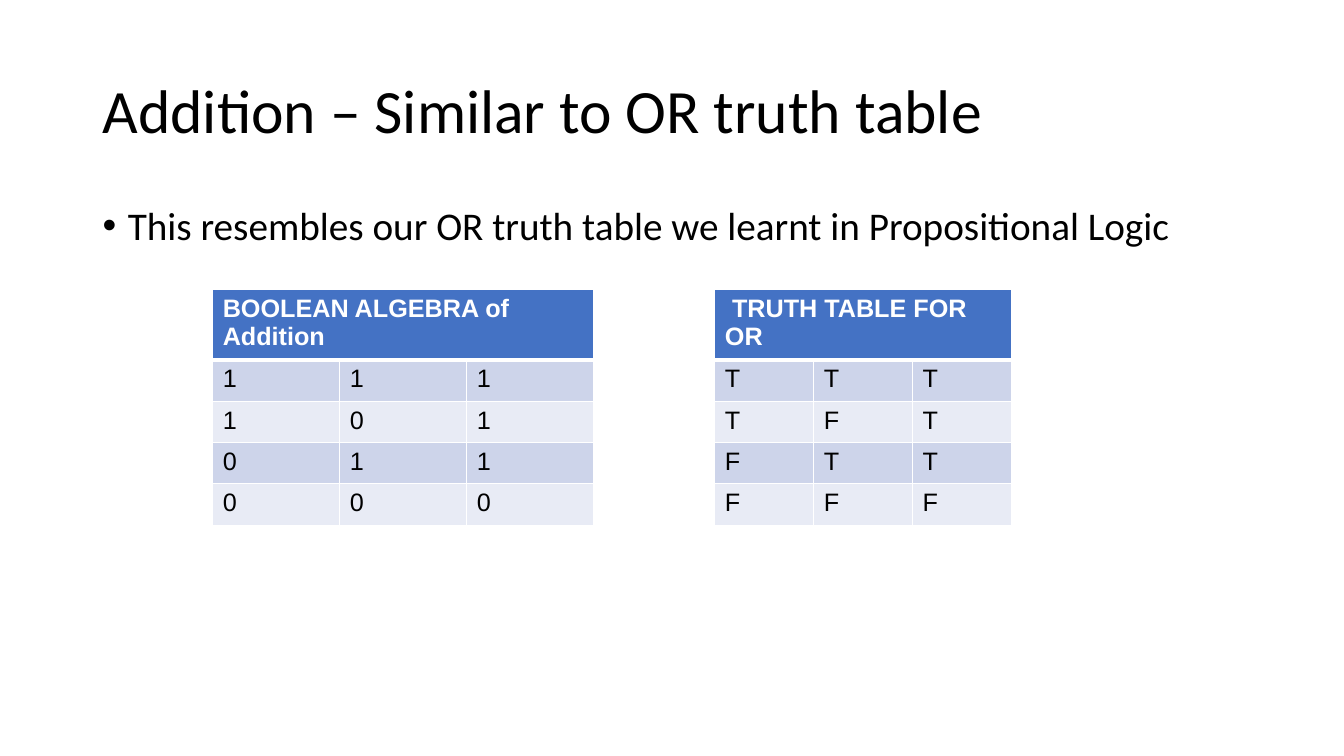
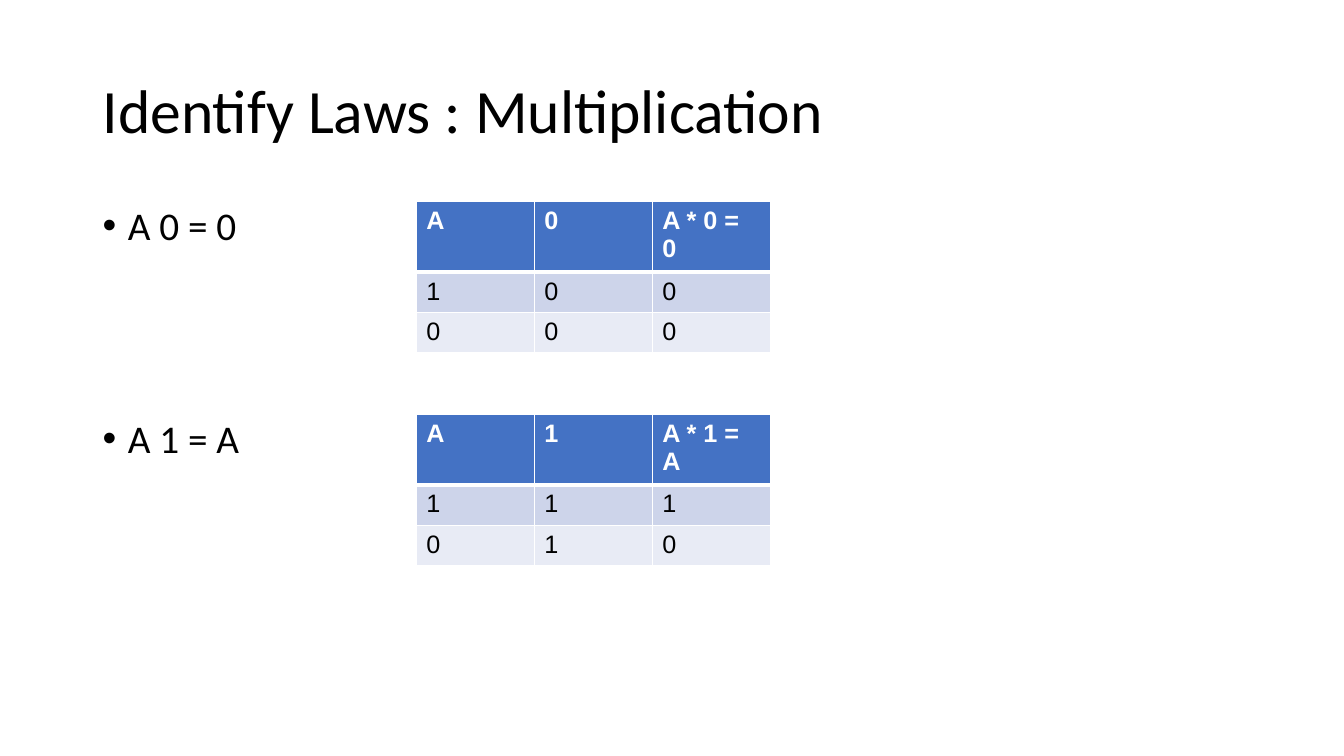
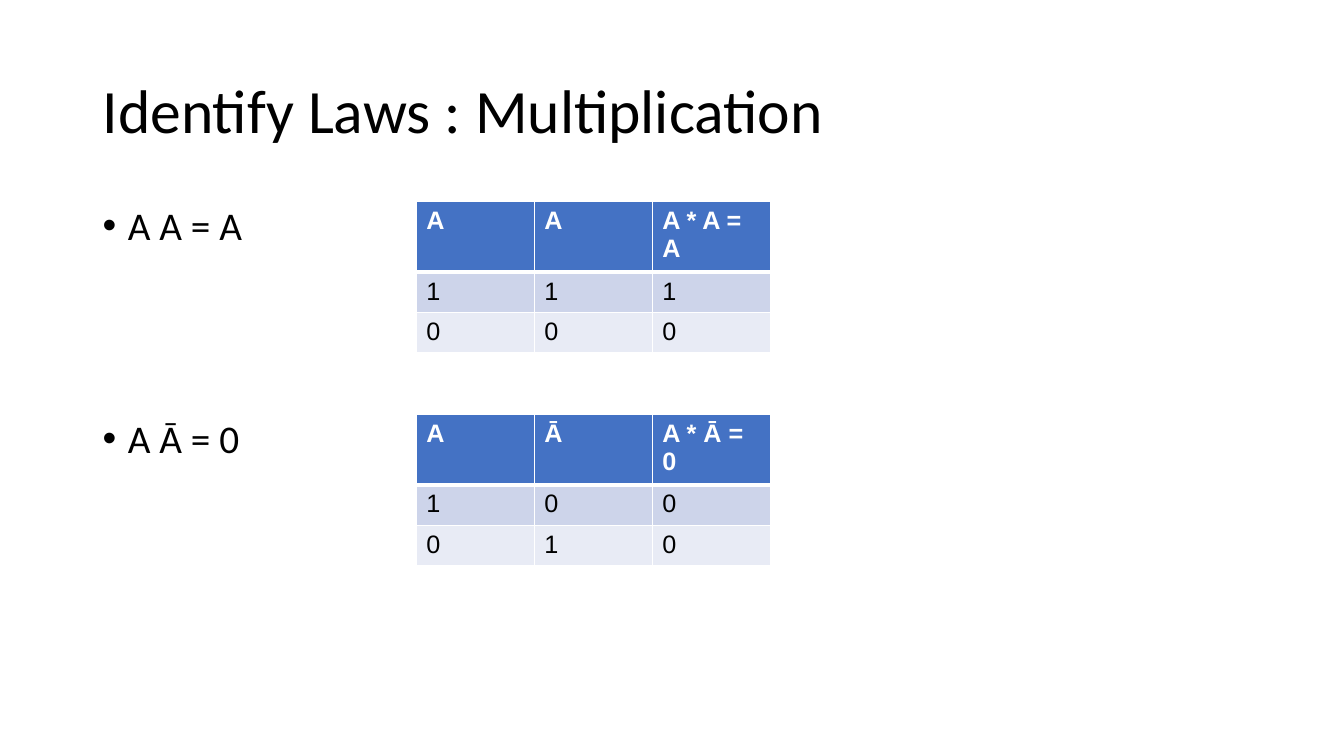
from lxml.etree import SubElement
from pptx import Presentation
from pptx.dml.color import RGBColor
from pptx.enum.text import MSO_ANCHOR as Anchor
from pptx.oxml.ns import qn
from pptx.util import Inches, Pt

BLACK, WHITE, BLUE = "000000", "FFFFFF", "4472C4"
BANDS = ("CDD4EA", "E8EBF5")
WIDTH, HEIGHT = 13.33, 7.5
MARGIN, TITLE_TOP, TITLE_HEIGHT = 0.92, 0.4, 1.45
FULL_WIDTH, LAW_WIDTH, LAW_HEIGHT = 11.5, 10.45, 1.4
BODY_TOP, LAW_STEP, LAW_TABLE_LEFT = 2, 2.11, 4.13
COMPARE_TOP = 2.87

COMPARISON = {
    "title": "Addition – Similar to OR truth table",
    "point": "This resembles our OR truth table we learnt in Propositional Logic",
    "tables": [
        {"left": 2.11, "column": 1.26, "header": 0.7, "first_line": 0,
         "rows": [["BOOLEAN ALGEBRA of Addition"], "111", "101", "011", "000"]},
        {"left": 7.09, "column": 0.98, "header": 0.41, "first_line": 0.07,
         "rows": [["TRUTH TABLE FOR OR"], "TTT", "TFT", "FTT", "FFF"]},
    ],
}
LAWS_TITLE = "Identify Laws : Multiplication"
LAW_SLIDES = [
    [("A 0 = 0", [["A", "0", "A * 0 = 0"], "100", "000"]),
     ("A 1 = A", [["A", "1", "A * 1 = A"], "111", "010"])],
    [("A A = A", [["A", "A", "A * A = A"], "111", "000"]),
     ("A Ā = 0", [["A", "Ā", "A * Ā = 0"], "100", "010"])],
]


def rgb(value):
    return RGBColor.from_string(value)


def write(frame, text, size=18, font="Arial", color=BLACK, bold=False,
          bullet=False, first_line=0, spacing=None):
    paragraph = frame.paragraphs[0]
    paragraph.text = text
    props = paragraph._p.get_or_add_pPr()
    if bullet:
        props.set("marL", str(Inches(0.25)))
        first_line = -0.25
        SubElement(SubElement(props, qn("a:buClr")), qn("a:srgbClr"), val=color)
        SubElement(props, qn("a:buFont"), typeface="Arial")
        SubElement(props, qn("a:buChar"), char="•")
    if first_line:
        props.set("indent", str(Inches(first_line)))
    if spacing:
        paragraph.line_spacing = spacing
    face = paragraph.runs[0].font
    face.name, face.size, face.bold = font, Pt(size), bold
    face.color.rgb = rgb(color)


def add_text(slide, text, left, top, width, height, anchor=Anchor.TOP, **style):
    frame = slide.shapes.add_textbox(*map(Inches, (left, top, width, height))).text_frame
    frame.word_wrap = True
    frame.vertical_anchor = anchor
    write(frame, text, font="Calibri", spacing=0.9, **style)


def add_point(slide, text, top, width, height):
    add_text(slide, text, MARGIN, top, width, height, size=28, bullet=True)


def paint_cell(cell, row):
    """Draw white borders, thick under the header, and the row's band colour."""
    props = cell._tc.get_or_add_tcPr()
    thick_side = {0: "B", 1: "T"}.get(row)
    for side in "LRTB":
        line = SubElement(props, qn(f"a:ln{side}"), w=str(Pt(3 if side == thick_side else 1)))
        SubElement(SubElement(line, qn("a:solidFill")), qn("a:srgbClr"), val=WHITE)
    cell.fill.solid()
    cell.fill.fore_color.rgb = rgb(BANDS[(row - 1) % 2] if row else BLUE)


def add_truth_table(slide, rows, left, top, column, header, row_height, first_line=0):
    columns = len(rows[-1])
    height = header + row_height * (len(rows) - 1)
    table = slide.shapes.add_table(
        len(rows), columns, *map(Inches, (left, top, column * columns, height))).table
    for table_column in table.columns:
        table_column.width = Inches(column)
    for r, values in enumerate(rows):
        table.rows[r].height = Inches(row_height if r else header)
        for c in range(columns):
            paint_cell(table.cell(r, c), r)
        if len(values) == 1:
            table.cell(r, 0).merge(table.cell(r, columns - 1))
        for c, value in enumerate(values):
            write(table.cell(r, c).text_frame, value, bold=r == 0,
                  color=BLACK if r else WHITE, first_line=0 if r else first_line)


def add_slide(deck, title):
    slide = deck.slides.add_slide(deck.slide_layouts[6])
    add_text(slide, title, MARGIN, TITLE_TOP, FULL_WIDTH, TITLE_HEIGHT,
             anchor=Anchor.MIDDLE, size=44)
    return slide


def main():
    deck = Presentation()
    deck.slide_width, deck.slide_height = Inches(WIDTH), Inches(HEIGHT)

    slide = add_slide(deck, COMPARISON["title"])
    add_point(slide, COMPARISON["point"], BODY_TOP, FULL_WIDTH, 4.76)
    for table in COMPARISON["tables"]:
        add_truth_table(slide, top=COMPARE_TOP, row_height=0.41, **table)

    for laws in LAW_SLIDES:
        slide = add_slide(deck, LAWS_TITLE)
        for i, (law, rows) in enumerate(laws):
            top = BODY_TOP + i * LAW_STEP
            add_point(slide, law, top, LAW_WIDTH, LAW_HEIGHT)
            add_truth_table(slide, rows, LAW_TABLE_LEFT, top, column=1.17,
                            header=0.6, row_height=0.35)
    deck.save("out.pptx")


if __name__ == "__main__":
    main()
